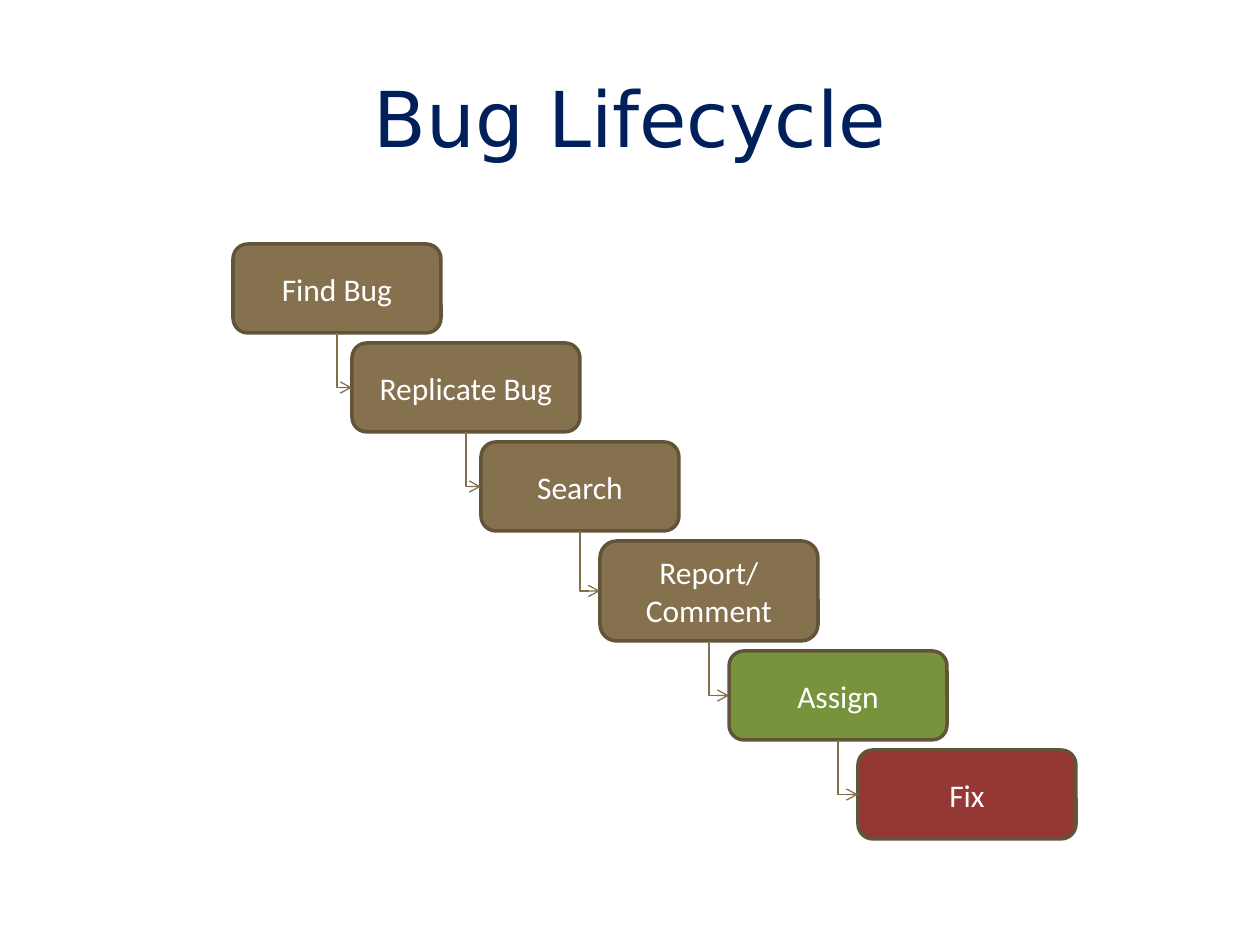
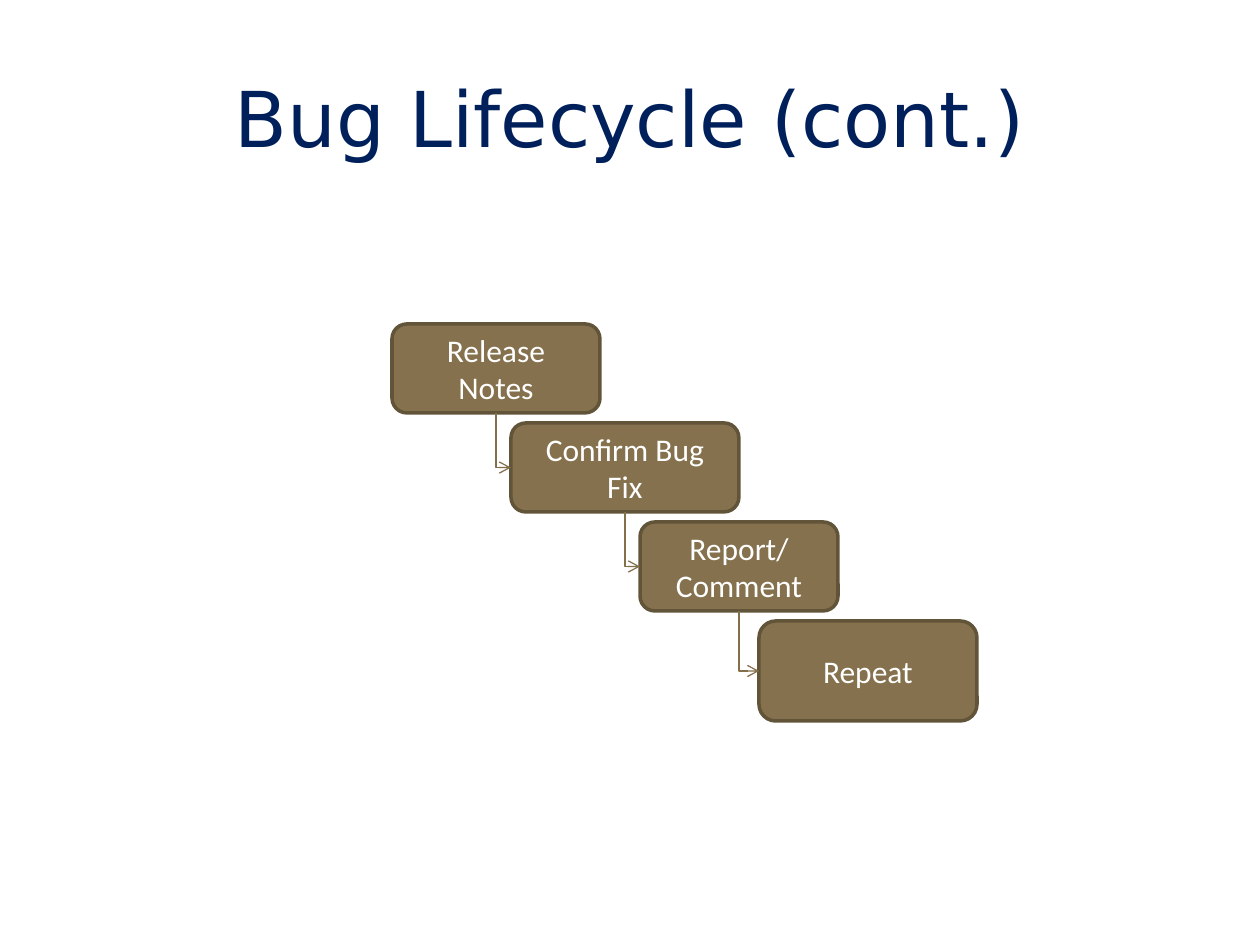
from dataclasses import dataclass

from lxml import etree
from pptx import Presentation
from pptx import util as u
from pptx.dml.color import RGBColor
from pptx.enum import shapes, text
from pptx.oxml import ns


@dataclass(frozen=True)
class Theme:
    """Colours, fonts and type sizes shared by the slides."""
    title_color: str = "00205B"
    step: str = "85714D"
    assign: str = "77933C"
    fix: str = "953735"
    border: str = "625439"
    arrow: str = "836F4A"
    label: str = "FFFFFF"
    title_font: str = "DejaVu Sans"
    label_font: str = "Calibri"
    title_size: int = 44
    label_size: int = 18


THEME = Theme()
PIXEL = u.Inches(1) / 126
TITLE_BOX = (63, 38, 1134, 157)
ROW_GAP = 10

# Each step of the staircase: width, height, gap from the arrow to the next step
STAIRS = [(208, 89, 15), (228, 89, 15), (198, 89, 20),
          (218, 100, 20), (218, 89, 20), (218, 89, 20)]

# Title, top left corner of the first step, then label and fill of each step
SLIDES = [
    ("Bug Lifecycle", (233, 244), [
        ("Find Bug", THEME.step),
        ("Replicate Bug", THEME.step),
        ("Search", THEME.step),
        ("Report/\nComment", THEME.step),
        ("Assign", THEME.assign),
        ("Fix", THEME.fix),
    ]),
    ("Bug Lifecycle (cont.)", (392, 324), [
        ("Release Notes", THEME.step),
        ("Confirm Bug Fix", THEME.step),
        ("Report/ Comment", THEME.step),
        ("Repeat", THEME.step),
    ]),
]


def px(*lengths):
    """Turn pixel lengths into EMU."""
    return [u.Emu(round(length * PIXEL)) for length in lengths]


def style_text(frame, font_name, size, color):
    """Centre the text of a frame and set its font."""
    frame.vertical_anchor = text.MSO_ANCHOR.MIDDLE
    for paragraph in frame.paragraphs:
        paragraph.alignment = text.PP_ALIGN.CENTER
        paragraph.font.name = font_name
        paragraph.font.size = u.Pt(size)
        paragraph.font.color.rgb = RGBColor.from_string(color)


def add_title(slide, words):
    """Fill and place the title placeholder."""
    title = slide.shapes.title
    title.left, title.top, title.width, title.height = px(*TITLE_BOX)
    title.text_frame.text = words
    style_text(title.text_frame, THEME.title_font, THEME.title_size, THEME.title_color)


def add_step(slide, box, label, fill):
    """Draw one rounded step with its label."""
    shape = slide.shapes.add_shape(shapes.MSO_SHAPE.ROUNDED_RECTANGLE, *px(*box))
    shape.shadow.inherit = False
    shape.fill.solid()
    shape.fill.fore_color.rgb = RGBColor.from_string(fill)
    shape.line.color.rgb = RGBColor.from_string(THEME.border)
    shape.line.width = u.Pt(2)
    shape.text_frame.word_wrap = True
    shape.text_frame.text = label
    style_text(shape.text_frame, THEME.label_font, THEME.label_size, THEME.label)
    return shape


def add_arrow(slide, upper, lower):
    """Lead a bent arrow from the bottom of one step to the left of the next."""
    connector = slide.shapes.add_connector(shapes.MSO_CONNECTOR.ELBOW, 0, 0, 0, 0)
    connector.begin_connect(upper, 2)
    connector.end_connect(lower, 1)
    start_x, start_y = upper.left + upper.width // 2, upper.top + upper.height
    across = lower.left - start_x
    down = lower.top + lower.height // 2 - start_y
    # The one-bend preset runs across first, so it is turned to run down first
    connector.left = start_x + (across - down) // 2
    connector.top = start_y + (down - across) // 2
    connector.width, connector.height = down, across
    properties = connector._element.spPr
    frame = properties.find(ns.qn("a:xfrm"))
    frame.attrib.pop("flipV", None)
    frame.set("rot", "16200000")
    frame.set("flipH", "1")
    properties.find(ns.qn("a:prstGeom")).set("prst", "bentConnector2")
    connector.line.color.rgb = RGBColor.from_string(THEME.arrow)
    connector.line.width = u.Pt(0.75)
    line = properties.find(ns.qn("a:ln"))
    etree.SubElement(line, ns.qn("a:tailEnd"), type="arrow")
    etree.SubElement(properties, ns.qn("a:effectLst"))


def add_staircase(slide, corner, steps):
    """Place the steps, each starting just past the middle of the one above."""
    left, top = corner
    previous = None
    for (label, fill), (width, height, gap) in zip(steps, STAIRS):
        step = add_step(slide, (left, top, width, height), label, fill)
        if previous is not None:
            add_arrow(slide, previous, step)
        previous = step
        left += width / 2 + gap
        top += height + ROW_GAP


def main():
    """Build and save the presentation."""
    presentation = Presentation()
    presentation.slide_width, presentation.slide_height = px(1260, 945)
    title_only = presentation.slide_layouts[5]
    for title, corner, steps in SLIDES:
        slide = presentation.slides.add_slide(title_only)
        add_title(slide, title)
        add_staircase(slide, corner, steps)
    presentation.save("out.pptx")


main()
